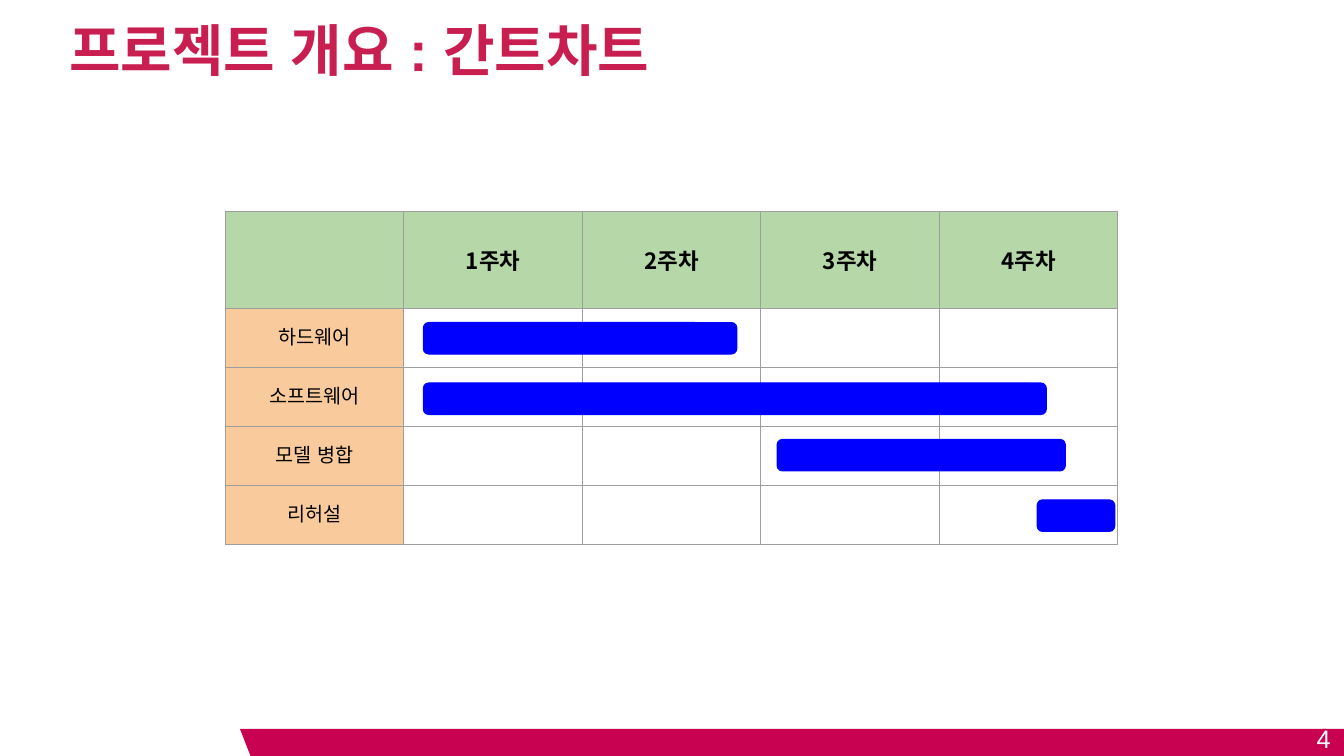
"""Build the project overview slide with a four-week Gantt chart."""
from dataclasses import dataclass

from lxml import etree
from pptx import Presentation
from pptx.dml.color import RGBColor
from pptx.enum import shapes, text
from pptx.oxml import parse_xml
from pptx.oxml.ns import nsdecls, qn
from pptx.util import Pt

TITLE = "프로젝트 개요 : 간트차트"
PAGE_NUMBER = "4"
WEEKS = ["1주차", "2주차", "3주차", "4주차"]
TASKS = [
    ("하드웨어", (302.4, 230.4, 223.9)),
    ("소프트웨어", (302.4, 273.6, 445)),
    ("모델 병합", (555.1, 313.9, 205.9)),
    ("리허설", (740.9, 357.1, 55.4)),
]

SLIDE_SIZE = (960, 540)
TITLE_BOX = (42.5, 9.4, 663.8, 49.7)
PAGE_BOX = (898.6, 513.4, 59, 28.8)
FOOTER_END = (944.6, 520.6, 15.4, 19.4)
FOOTER_BAND = (171.4, 520.6, 783.4, 19.4)
TABLE_ORIGIN = (161, 151)
COLUMN_WIDTH, HEADER_HEIGHT, ROW_HEIGHT = 127.5, 69.3, 42.1
BAR_HEIGHT = 22.5


@dataclass(frozen=True)
class Theme:
    """Colours, fonts and type sizes of the slide."""
    title: str = "C91F50"
    footer: str = "C80150"
    header: str = "B6D7A8"
    task: str = "F9CB9C"
    bar: str = "0000FF"
    border: str = "9E9E9E"
    black: str = "000000"
    white: str = "FFFFFF"
    font: str = "Arial"
    header_font: str = "Noto Sans CJK KR"
    title_size: int = 40
    page_size: int = 18
    header_size: int = 16
    task_size: int = 14
    line_width: float = 0.75


THEME = Theme()


def points(values):
    """Convert a sequence of numbers to points."""
    return [Pt(value) for value in values]


def write(frame, content, size, color, alignment, font=THEME.font, bold=False):
    """Set one formatted line of text and return its run."""
    frame.text = content
    paragraph = frame.paragraphs[0]
    paragraph.alignment = alignment
    run = paragraph.runs[0]
    run.font.size = Pt(size)
    run.font.bold = bold
    run.font.color.rgb = RGBColor.from_string(color)
    run.font.name = font
    latin = run.font._element.find(qn("a:latin"))
    latin.addnext(parse_xml(f'<a:ea {nsdecls("a")} typeface="{font}"/>'))
    return run


def set_margins(holder, horizontal, top, bottom):
    """Set the inner margins of a text frame or cell."""
    holder.margin_left = holder.margin_right = Pt(horizontal)
    holder.margin_top, holder.margin_bottom = Pt(top), Pt(bottom)


def add_block(slide, kind, box, color, adjustment=None, outlined=False):
    """Add a solid preset shape."""
    shape = slide.shapes.add_shape(kind, *points(box))
    shape.shadow.inherit = False
    shape.fill.solid()
    shape.fill.fore_color.rgb = RGBColor.from_string(color)
    if adjustment is not None:
        shape.adjustments[0] = adjustment
    if outlined:
        shape.line.color.rgb = RGBColor.from_string(color)
        shape.line.width = Pt(THEME.line_width)
    else:
        shape.line.fill.background()
    return shape


def add_title(slide):
    """Fill the title placeholder and give its text a soft shadow."""
    title = slide.shapes.title
    title.left, title.top, title.width, title.height = points(TITLE_BOX)
    frame = title.text_frame
    set_margins(frame, 7.2, 1.4, 0)
    frame.word_wrap = True
    frame.auto_size = text.MSO_AUTO_SIZE.SHAPE_TO_FIT_TEXT
    frame.vertical_anchor = text.MSO_ANCHOR.MIDDLE
    run = write(frame, TITLE, THEME.title_size, THEME.title, text.PP_ALIGN.LEFT, bold=True)
    run.font._element.find(qn("a:solidFill")).addnext(parse_xml(
        f'<a:effectLst {nsdecls("a")}><a:outerShdw blurRad="38100" dist="38100" dir="2700000">'
        f'<a:srgbClr val="{THEME.black}"><a:alpha val="43000"/></a:srgbClr>'
        '</a:outerShdw></a:effectLst>'))


def add_footer(slide):
    """Add the footer band and the page number."""
    add_block(slide, shapes.MSO_SHAPE.RECTANGLE, FOOTER_END, THEME.footer)
    band = add_block(slide, shapes.MSO_SHAPE.PARALLELOGRAM, FOOTER_BAND, THEME.footer, 0.39)
    band._element.spPr.find(qn("a:xfrm")).set("flipH", "1")
    frame = slide.shapes.add_textbox(*points(PAGE_BOX)).text_frame
    frame.word_wrap = True
    frame.vertical_anchor = text.MSO_ANCHOR.MIDDLE
    write(frame, PAGE_NUMBER, THEME.page_size, THEME.white, text.PP_ALIGN.RIGHT)


def format_cell(cell, color):
    """Set the fill, margins and borders of a cell."""
    set_margins(cell, 7.2, 7.2, 7.2)
    cell.vertical_anchor = text.MSO_ANCHOR.MIDDLE
    if color:
        cell.fill.solid()
        cell.fill.fore_color.rgb = RGBColor.from_string(color)
    else:
        cell.fill.background()
    properties = cell._tc.get_or_add_tcPr()
    for position, side in enumerate(("lnL", "lnR", "lnT", "lnB")):
        border = etree.Element(qn(f"a:{side}"), w=str(Pt(THEME.line_width)))
        fill = etree.SubElement(border, qn("a:solidFill"))
        etree.SubElement(fill, qn("a:srgbClr"), val=THEME.border)
        properties.insert(position, border)


def add_schedule(slide):
    """Add the week table and its task bars."""
    row_heights = [HEADER_HEIGHT] + [ROW_HEIGHT] * len(TASKS)
    column_count = len(WEEKS) + 1
    size = (COLUMN_WIDTH * column_count, sum(row_heights))
    table = slide.shapes.add_table(
        len(row_heights), column_count, *points(TABLE_ORIGIN + size)).table
    table.first_row = table.horz_banding = False
    for column in table.columns:
        column.width = Pt(COLUMN_WIDTH)
    for row_index, height in enumerate(row_heights):
        table.rows[row_index].height = Pt(height)
        for column_index in range(column_count):
            color = THEME.header if row_index == 0 else THEME.task if column_index == 0 else None
            format_cell(table.cell(row_index, column_index), color)
    for index, week in enumerate(WEEKS, 1):
        write(table.cell(0, index).text_frame, week, THEME.header_size, THEME.black,
              text.PP_ALIGN.CENTER, THEME.header_font, True)
    for index, (task, bar) in enumerate(TASKS, 1):
        write(table.cell(index, 0).text_frame, task, THEME.task_size, THEME.black,
              text.PP_ALIGN.CENTER)
        left, top, width = bar
        add_block(slide, shapes.MSO_SHAPE.ROUNDED_RECTANGLE, (left, top, width, BAR_HEIGHT),
                  THEME.bar, 0.17, True)


def main():
    """Create and save the presentation."""
    presentation = Presentation()
    presentation.slide_width, presentation.slide_height = points(SLIDE_SIZE)
    slide = presentation.slides.add_slide(presentation.slide_layouts[5])
    add_title(slide)
    add_footer(slide)
    add_schedule(slide)
    presentation.save("out.pptx")


if __name__ == "__main__":
    main()
